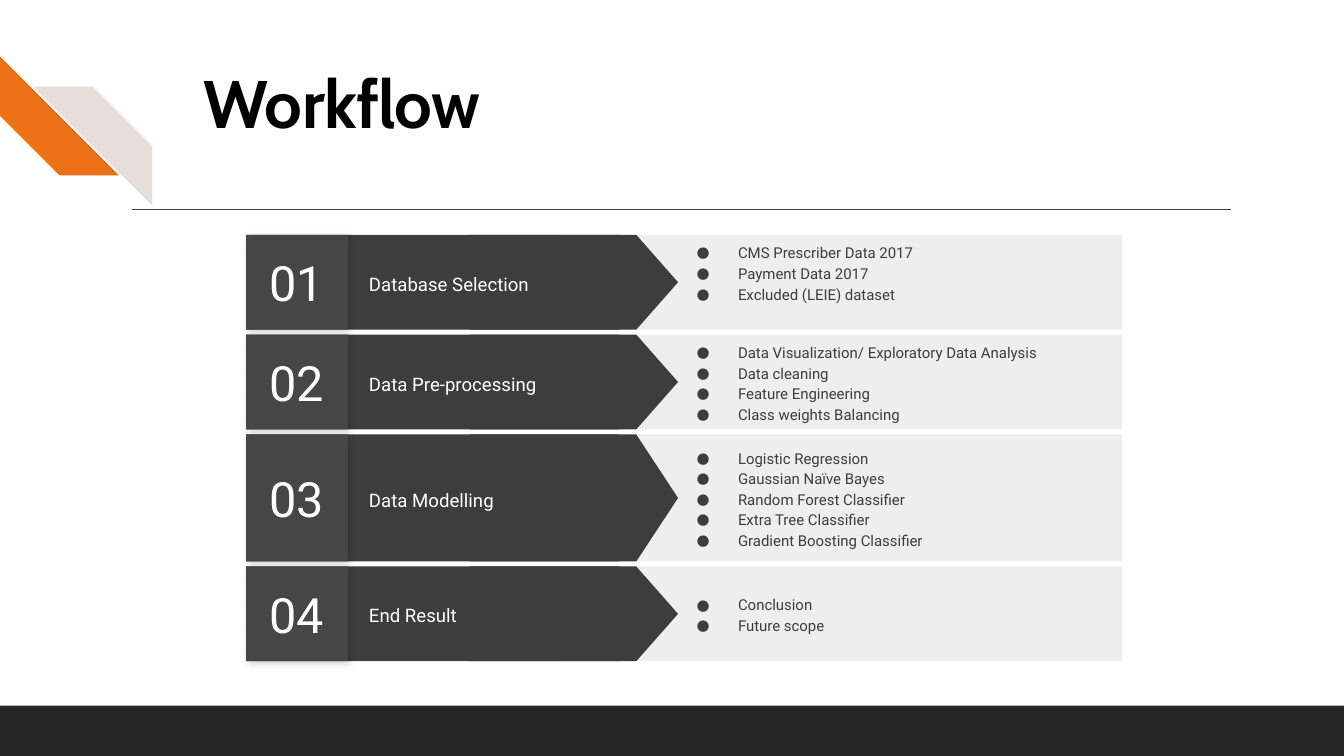
from lxml.etree import SubElement
from pptx import Presentation
from pptx.dml.color import RGBColor
from pptx.enum.shapes import MSO_CONNECTOR, MSO_SHAPE
from pptx.enum.text import MSO_ANCHOR, PP_ALIGN
from pptx.oxml.ns import qn
from pptx.util import Inches, Pt

COLORS = {
    "orange": "EC7016", "beige": "E5DEDB", "rule": "404040",
    "footer": "262626", "panel": "EEEEEE", "dark": "3D3D3D",
    "under": "414141", "tile": "464646", "white": "FFFFFF",
    "black": "000000",
}
TOP, GAP, INSET = 2.33, 0.05, 0.13
# label, row height, extra room below the bullets, bullets
STEPS = [
    ("Database Selection", 0.94, 0.2,
     ["CMS Prescriber Data 2017", "Payment Data 2017",
      "Excluded (LEIE) dataset"]),
    ("Data Pre-processing", 0.94, 0,
     ["Data Visualization/ Exploratory Data Analysis", "Data cleaning",
      "Feature Engineering", "Class weights Balancing"]),
    ("Data Modelling", 1.26, 0,
     ["Logistic Regression", "Gaussian Naïve Bayes",
      "Random Forest Classifier", "Extra Tree Classifier",
      "Gradient Boosting Classifier"]),
    ("End Result", 0.94, 0, ["Conclusion", "Future scope"]),
]


def color(name):
    return RGBColor.from_string(COLORS[name])


def add_block(shapes, kind, box, fill, turn=0):
    block = shapes.add_shape(kind, *map(Inches, box))
    block.shadow.inherit = False
    block.fill.solid()
    block.fill.fore_color.rgb = color(fill)
    block.line.fill.background()
    block.rotation = turn
    return block


def add_shadow(block):
    effects = block._element.spPr.find(qn("a:effectLst"))
    outer = SubElement(effects, qn("a:outerShdw"), blurRad=str(Pt(5.6)),
                       dist=str(Pt(2.2)), dir="2700000", algn="tl",
                       rotWithShape="0")
    shade = SubElement(outer, qn("a:srgbClr"), val=COLORS["black"])
    SubElement(shade, qn("a:alpha"), val="17000")


def set_frame(shape, anchor, top=INSET, bottom=INSET):
    frame = shape.text_frame
    frame.word_wrap = True
    frame.vertical_anchor = anchor
    frame.margin_left = frame.margin_right = Inches(INSET)
    frame.margin_top, frame.margin_bottom = Inches(top), Inches(bottom)
    return frame


def add_run(para, text, size, fill, font="Roboto"):
    run = para.add_run()
    run.text = text
    run.font.size = Pt(size)
    run.font.name = font
    run.font.color.rgb = color(fill)
    return run


def set_bullet(para):
    props = para._p.get_or_add_pPr()
    props.set("marL", str(Inches(0.67)))
    props.set("indent", str(Inches(-0.41)))
    tint = SubElement(props, qn("a:buClr"))
    SubElement(tint, qn("a:srgbClr"), val=COLORS["dark"])
    SubElement(props, qn("a:buFont"), typeface="Roboto")
    SubElement(props, qn("a:buChar"), char="●")


def add_list(shapes, box, items, room):
    area = shapes.add_textbox(*map(Inches, box))
    frame = set_frame(area, MSO_ANCHOR.MIDDLE, 0.05, 0.05 + room)
    for i, item in enumerate(items):
        para = frame.add_paragraph() if i else frame.paragraphs[0]
        para.line_spacing = 1.15
        set_bullet(para)
        add_run(para, item, 10.7, "dark")


def add_step(slide, number, top, step):
    label, height, room, items = step
    shapes = slide.shapes.add_group_shape().shapes
    add_block(shapes, MSO_SHAPE.RECTANGLE, (5.56, top, 5.57, height), "panel")
    add_block(shapes, MSO_SHAPE.RECTANGLE, (3.45, top, 2.69, height), "dark")

    # The arrow is laid out upright, then turned about its centre
    length, middle = 2.07, top + height / 2
    arrow = (5.69 - height / 2, middle - length / 2, height, length)
    add_block(shapes, MSO_SHAPE.FLOWCHART_OFFPAGE_CONNECTOR, arrow, "dark", 270)

    area = shapes.add_textbox(*map(Inches, (3.53, middle - 0.36, 2.83, 0.72)))
    para = set_frame(area, MSO_ANCHOR.MIDDLE).paragraphs[0]
    para.line_spacing = 1.15
    add_run(para, label, 13.3, "white")

    square = (2.44, top, 1.01, height)
    add_shadow(add_block(shapes, MSO_SHAPE.RECTANGLE, square, "under"))
    tile = add_block(shapes, MSO_SHAPE.RECTANGLE, square, "tile")
    para = set_frame(tile, MSO_ANCHOR.MIDDLE).paragraphs[0]
    para.alignment = PP_ALIGN.CENTER
    add_run(para, f"{number:02}", 34.7, "white")

    add_list(shapes, (6.52, top, 4.33, height), items, room)


def add_rule(slide):
    ends = map(Inches, (1.31, 2.08, 12.21, 2.08))
    rule = slide.shapes.add_connector(MSO_CONNECTOR.STRAIGHT, *ends)
    rule.line.color.rgb = color("rule")
    rule.line.width = Pt(1)
    SubElement(rule._element.spPr, qn("a:effectLst"))


def add_title(slide, text):
    area = slide.shapes.add_textbox(*map(Inches, (1.89, 0.57, 10.26, 1.33)))
    para = set_frame(area, MSO_ANCHOR.TOP).paragraphs[0]
    para.line_spacing = 0.9
    run = add_run(para, text, 48, "black", "Cabin")
    run.font.bold = True
    run._r.get_or_add_rPr().set("spc", "-50")


def main():
    deck = Presentation()
    deck.slide_width, deck.slide_height = Inches(13.33), Inches(7.5)
    slide = deck.slides.add_slide(deck.slide_layouts[6])
    add_block(slide.shapes, MSO_SHAPE.RECTANGLE, (0, 7, 13.33, 0.5), "footer")
    add_rule(slide)
    stripes = slide.shapes.add_group_shape().shapes
    for left, top, fill, turn in [(0, 0.56, "orange", 270),
                                  (0.33, 0.86, "beige", 90)]:
        add_block(stripes, MSO_SHAPE.DIAGONAL_STRIPE,
                  (left, top, 1.18, 1.18), fill, turn)
    add_title(slide, "Workflow")

    top = TOP
    for number, step in enumerate(STEPS, 1):
        add_step(slide, number, top, step)
        top += step[1] + GAP
    deck.save("out.pptx")


if __name__ == "__main__":
    main()
